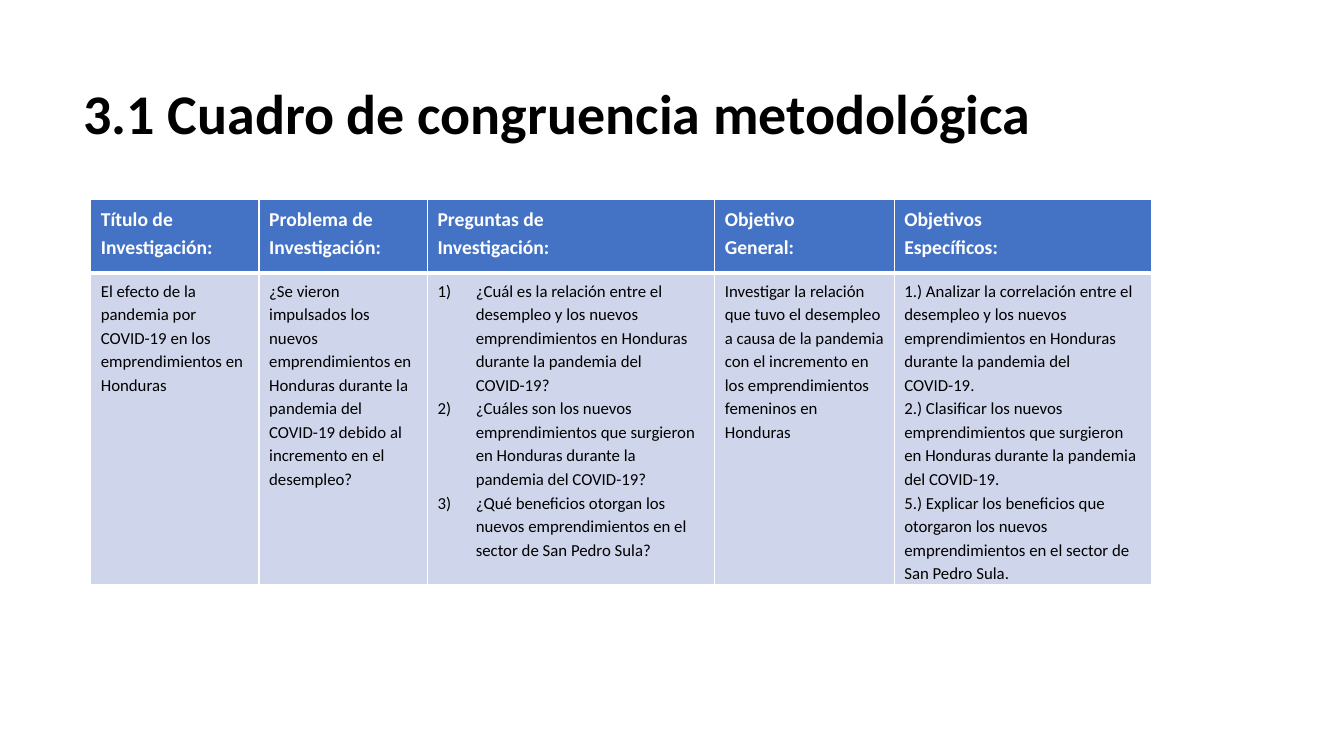
import pptx
import pptx.util
import pptx.dml.color
import pptx.enum.text
import pptx.oxml.ns
from lxml import etree

Inches = pptx.util.Inches
Pt = pptx.util.Pt
qn = pptx.oxml.ns.qn

hues = {"head": "4472C4", "body": "CFD5EA", "line": "FFFFFF",
        "light": "FFFFFF", "dark": "000000"}


def style(par, size, bold, hue):
    par.line_spacing = 1.15
    for run in par.runs:
        run.font.name = "Calibri"
        run.font.size = Pt(size)
        run.font.bold = bold
        run.font.color.rgb = pptx.dml.color.RGBColor.from_string(hues[hue])


def border(cell, side, width):
    props = cell._tc.get_or_add_tcPr()
    line = etree.SubElement(props, qn("a:ln" + side), w=str(Pt(width)))
    fill = etree.SubElement(line, qn("a:solidFill"))
    etree.SubElement(fill, qn("a:srgbClr"), val=hues["line"])


deck = pptx.Presentation()
deck.slide_width = Inches(13.33)
deck.slide_height = Inches(7.5)
slide = deck.slides.add_slide(deck.slide_layouts[6])

title = slide.shapes.add_textbox(Inches(0.73), Inches(0.6), Inches(11.5), Inches(0.79))
frame = title.text_frame
frame.word_wrap = True
frame.margin_top = Inches(0.08)
frame.vertical_anchor = pptx.enum.text.MSO_ANCHOR.TOP
frame.text = "3.1 Cuadro de congruencia metodológica"
style(frame.paragraphs[0], 40, True, "dark")

heads = [
    "Título de\nInvestigación:",
    "Problema de\nInvestigación:",
    "Preguntas de\nInvestigación:",
    "Objetivo\nGeneral:",
    "Objetivos\nEspecíficos:",
]
bodies = [
    "El efecto de la pandemia por COVID-19 en los emprendimientos en Honduras",
    "¿Se vieron impulsados los nuevos emprendimientos en Honduras durante la "
    "pandemia del COVID-19 debido al incremento en el desempleo?",
    "¿Cuál es la relación entre el desempleo y los nuevos emprendimientos en "
    "Honduras durante la pandemia del COVID-19?\n"
    "¿Cuáles son los nuevos emprendimientos que surgieron en Honduras durante "
    "la pandemia del COVID-19?\n"
    "¿Qué beneficios otorgan los nuevos emprendimientos en el sector de San "
    "Pedro Sula?",
    "Investigar la relación que tuvo el desempleo a causa de la pandemia con el "
    "incremento en los emprendimientos femeninos en Honduras",
    "1.) Analizar la correlación entre el desempleo y los nuevos emprendimientos "
    "en Honduras durante la pandemia del COVID-19.\n"
    "2.) Clasificar los nuevos emprendimientos que surgieron en Honduras durante "
    "la pandemia del COVID-19.\n"
    "5.) Explicar los beneficios que otorgaron los nuevos emprendimientos en el "
    "sector de San Pedro Sula.",
]
rows = [
    (heads, 0.73, 14, True, "light", "head", {"L": 1, "R": 1, "T": 1, "B": 3}),
    (bodies, 3.07, 12, False, "dark", "body", {"L": 1, "R": 1, "T": 3, "B": 1}),
]
widths = [1.67, 1.67, 2.85, 1.78, 2.55]

table = slide.shapes.add_table(2, 5, Inches(0.9), Inches(1.98),
                               Inches(10.53), Inches(3.8)).table
table.horz_banding = False
for col, width in zip(table.columns, widths):
    col.width = Inches(width)

for row, (texts, height, size, bold, ink, fill, lines) in zip(table.rows, rows):
    row.height = Inches(height)
    for cell, text in zip(row.cells, texts):
        cell.text_frame.text = text
        for side, width in lines.items():
            border(cell, side, width)
        cell.fill.solid()
        cell.fill.fore_color.rgb = pptx.dml.color.RGBColor.from_string(hues[fill])
        for par in cell.text_frame.paragraphs:
            style(par, size, bold, ink)

asks = table.cell(1, 2).text_frame.paragraphs
for par in asks:
    props = par._p.get_or_add_pPr()
    props.set("marL", str(Inches(0.38)))
    props.set("indent", str(-Inches(0.38)))
    etree.SubElement(props, qn("a:buFont"), typeface="+mj-lt")
    etree.SubElement(props, qn("a:buAutoNum"), type="arabicParenR")
asks[-1].space_after = Pt(10)

deck.save("out.pptx")
